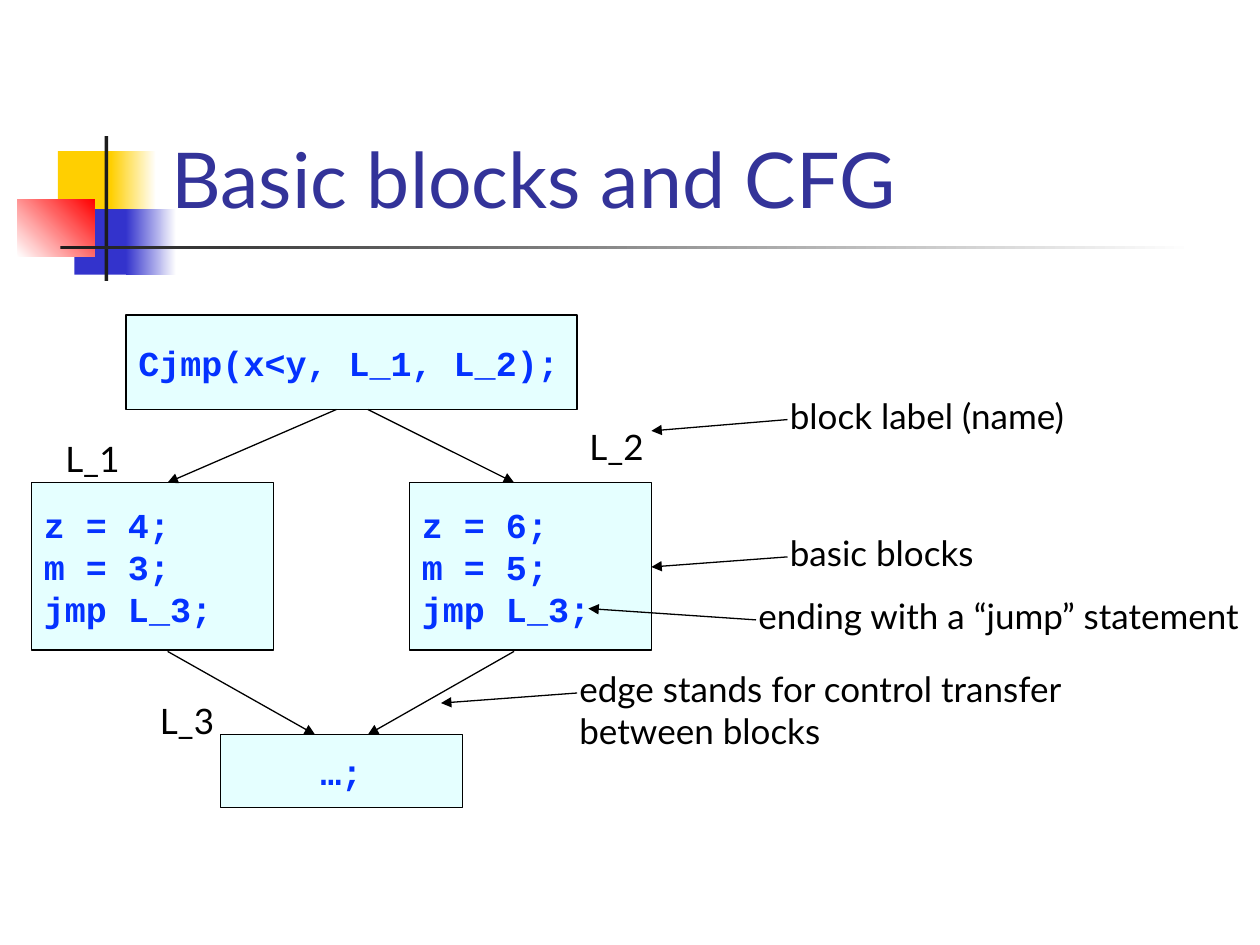
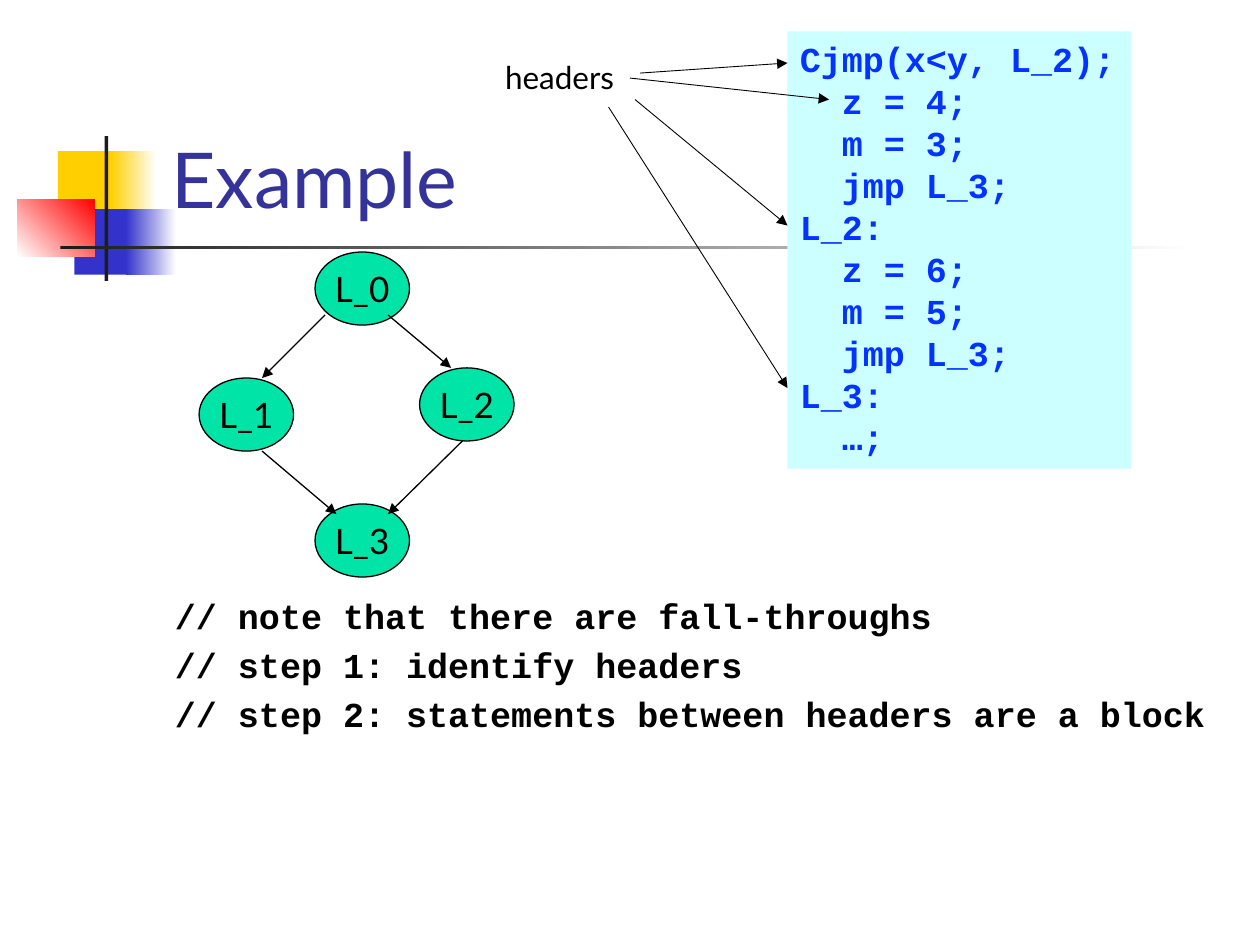
from lxml import etree
from pptx import Presentation
from pptx.dml.color import RGBColor
from pptx.enum.shapes import MSO_CONNECTOR, MSO_SHAPE
from pptx.enum.text import MSO_ANCHOR, PP_ALIGN
from pptx.oxml.ns import qn
from pptx.util import Inches, Pt

RECTANGLE, OVAL = MSO_SHAPE.RECTANGLE, MSO_SHAPE.OVAL
STRAIGHT = MSO_CONNECTOR.STRAIGHT
TOP, MIDDLE, BOTTOM = MSO_ANCHOR.TOP, MSO_ANCHOR.MIDDLE, MSO_ANCHOR.BOTTOM
LEFT, CENTER = PP_ALIGN.LEFT, PP_ALIGN.CENTER
TITLE_ONLY = 5

COLORS = {
    "title": "333399", "text": "000000", "code": "0432FF", "block": "CCFFFF",
    "node": "00E4A8", "yellow": "FFCF01", "blue": "3333CC", "red": "FF0000",
    "bar": "1C1C1C", "white": "FFFFFF",
}
SANS, MONO = "Lato", "Courier New"

DECORATION = [
    ((0.46, 1.2, 0.48, 0.52), ("yellow",), 0),
    ((0.88, 1.2, 0.36, 0.52), ("yellow", "white"), 0),
    ((0.59, 1.66, 0.46, 0.52), ("blue",), 0),
    ((1, 1.66, 0.4, 0.52), ("blue", "white"), 0),
    ((0.14, 1.58, 0.61, 0.46), ("white", "red"), 45),
    ((0.83, 1.08, 0.03, 1.15), ("bar",), 0),
    ((0.48, 1.95, 9, 0.03), ("bar", "white"), 0),
]


def rgb(name):
    return RGBColor.from_string(COLORS[name])


class Deck:
    """Holds the shared style and the current slide, and draws its elements."""

    def __init__(self):
        self.presentation = Presentation()
        self.presentation.slide_width = Inches(10)
        self.presentation.slide_height = Inches(7.5)
        self.layout = self.presentation.slide_layouts[TITLE_ONLY]
        self.slide = None

    def add_slide(self, title):
        is_first = self.slide is None
        self.slide = self.presentation.slides.add_slide(self.layout)
        if is_first:
            self.decorate_layout()
        placeholder = self.slide.shapes.title
        self.place(placeholder, (1.26, 0.23, 8.52, 1.6))
        self.fill_text(placeholder, [title], size=44, color="title", anchor=BOTTOM)

    def decorate_layout(self):
        for index, (box, colors, angle) in enumerate(DECORATION):
            shape = self.shape(RECTANGLE, box, colors[0])
            if len(colors) == 2:
                shape.fill.gradient()
                shape.fill.gradient_angle = angle
                for stop, color, position in zip(shape.fill.gradient_stops, colors, (0, 1)):
                    stop.color.rgb = rgb(color)
                    stop.position = position
            shape.element.nvSpPr.cNvPr.set("id", str(100 + index))
            self.layout.shapes.element.insert(2 + index, shape.element)

    def place(self, shape, box):
        shape.left, shape.top, shape.width, shape.height = map(Inches, box)

    def fill_text(self, shape, lines, size=20, color="text", font=SANS, bold=False,
                  anchor=TOP, align=LEFT, wrap=True, space=0, line_height=None):
        frame = shape.text_frame
        frame.word_wrap = wrap
        frame.vertical_anchor = anchor
        for index, line in enumerate(lines):
            paragraph = frame.add_paragraph() if index else frame.paragraphs[0]
            paragraph.alignment = align
            paragraph.space_before = Pt(space if index else 0)
            if line_height:
                paragraph.line_spacing = Pt(line_height)
            run = paragraph.add_run()
            run.text = line
            run.font.name, run.font.size, run.font.bold = font, Pt(size), bold
            run.font.color.rgb = rgb(color)

    def fill_code(self, shape, lines, color="code", **options):
        self.fill_text(shape, lines, color=color, font=MONO, bold=True, line_height=24, **options)

    def shape(self, kind, box, fill, outlined=False):
        shape = self.slide.shapes.add_shape(kind, *map(Inches, box))
        shape.shadow.inherit = False
        shape.fill.solid()
        shape.fill.fore_color.rgb = rgb(fill)
        if outlined:
            shape.line.color.rgb = rgb("text")
            shape.line.width = Pt(0.75)
        else:
            shape.line.fill.background()
        return shape

    def block(self, box, lines, align=LEFT):
        shape = self.shape(RECTANGLE, box, "block", outlined=True)
        fill_color = shape.element.spPr.find(qn("a:solidFill"))[0]
        etree.SubElement(fill_color, qn("a:alpha"), val="50000")
        self.fill_code(shape, lines, anchor=MIDDLE, align=align)

    def node(self, left, top, name):
        shape = self.shape(OVAL, (left, top, 0.75, 0.58), "node", outlined=True)
        self.fill_text(shape, [name], anchor=MIDDLE, align=CENTER, wrap=False)

    def listing(self, box, lines):
        self.fill_code(self.shape(RECTANGLE, box, "block"), lines, wrap=False)

    def text_box(self, box):
        return self.slide.shapes.add_textbox(*map(Inches, box))

    def label(self, box, *lines, size=20):
        self.fill_text(self.text_box(box), lines, size=size, wrap=False)

    def comments(self, box, lines):
        self.fill_code(self.text_box(box), lines, color="text", space=4)

    def arrow(self, start, end, width=0.75):
        connector = self.slide.shapes.add_connector(STRAIGHT, *map(Inches, start + end))
        connector.line.color.rgb = rgb("text")
        connector.line.width = Pt(width)
        properties = connector.element.spPr
        etree.SubElement(properties.find(qn("a:ln")), qn("a:tailEnd"), type="triangle")
        etree.SubElement(properties, qn("a:effectLst"))


def build_blocks_slide(deck):
    deck.add_slide("Basic blocks and CFG")
    deck.block((1, 2.5, 3.58, 0.75), ["Cjmp(x<y, L_1, L_2);"])
    for left, z, m in ((0.25, 4, 3), (3.25, 6, 5)):
        deck.block((left, 3.83, 1.92, 1.33), [f"z = {z};", f"m = {m};", "jmp L_3;"])
    deck.block((1.75, 5.83, 1.92, 0.58), ["…;"], align=CENTER)

    for start, end in (
        ((2.67, 3.25), (1.33, 3.83)), ((2.92, 3.25), (4.08, 3.83)),
        ((1.33, 5.17), (2.5, 5.83)), ((4.08, 5.17), (2.92, 5.83)),
    ):
        deck.arrow(start, end)

    for name, left, top in (("L_3", 1.17, 5.5), ("L_1", 0.42, 3.42), ("L_2", 4.58, 3.33)):
        deck.label((left, top, 0.63, 0.43), name)

    for box, lines, start, end in (
        ((6.17, 3.08, 2.47, 0.43), ["block label (name)"], (6.25, 3.33), (5.17, 3.42)),
        ((6.17, 4.17, 1.66, 0.43), ["basic blocks"], (6.25, 4.42), (5.17, 4.5)),
        ((5.92, 4.67, 4.11, 0.43), ["ending with a “jump” statement"],
         (6, 4.92), (4.67, 4.83)),
        ((4.5, 5.25, 4.1, 0.77), ["edge stands for control transfer", "between blocks"],
         (4.58, 5.5), (3.5, 5.58)),
    ):
        deck.label(box, *lines)
        deck.arrow(start, end)


def build_example_slide(deck):
    deck.add_slide("Example")
    deck.comments((1.29, 4.67, 8.5, 2.04), [
        "// note that there are fall-throughs",
        "// step 1: identify headers",
        "// step 2: statements between headers are a block",
    ])
    for index, (left, top) in enumerate(((2.5, 2), (1.58, 3), (3.33, 2.92), (2.5, 4))):
        deck.node(left, top, f"L_{index}")
    for start, end in (
        ((2.58, 2.5), (2.08, 3)), ((3.08, 2.5), (3.58, 2.92)),
        ((2.08, 3.58), (2.67, 4.08)), ((3.67, 3.5), (3.08, 4.08)),
    ):
        deck.arrow(start, end)

    deck.listing((6.25, 0.25, 2.73, 3.47), [
        "Cjmp(x<y, L_2);",
        "  z = 4;", "  m = 3;", "  jmp L_3;",
        "L_2:",
        "  z = 6;", "  m = 5;", "  jmp L_3;",
        "L_3:",
        "  …;",
    ])
    deck.label((3.91, 0.41, 1.09, 0.4), "headers", size=18)
    for start, end in (
        ((5.08, 0.58), (6.25, 0.5)), ((5.04, 0.79), (6.25, 1.79)),
        ((4.83, 0.85), (6.25, 3.08)), ((5, 0.62), (6.58, 0.79)),
    ):
        deck.arrow(start, end, width=0.5)


def main():
    deck = Deck()
    build_blocks_slide(deck)
    build_example_slide(deck)
    deck.presentation.save("out.pptx")


if __name__ == "__main__":
    main()
